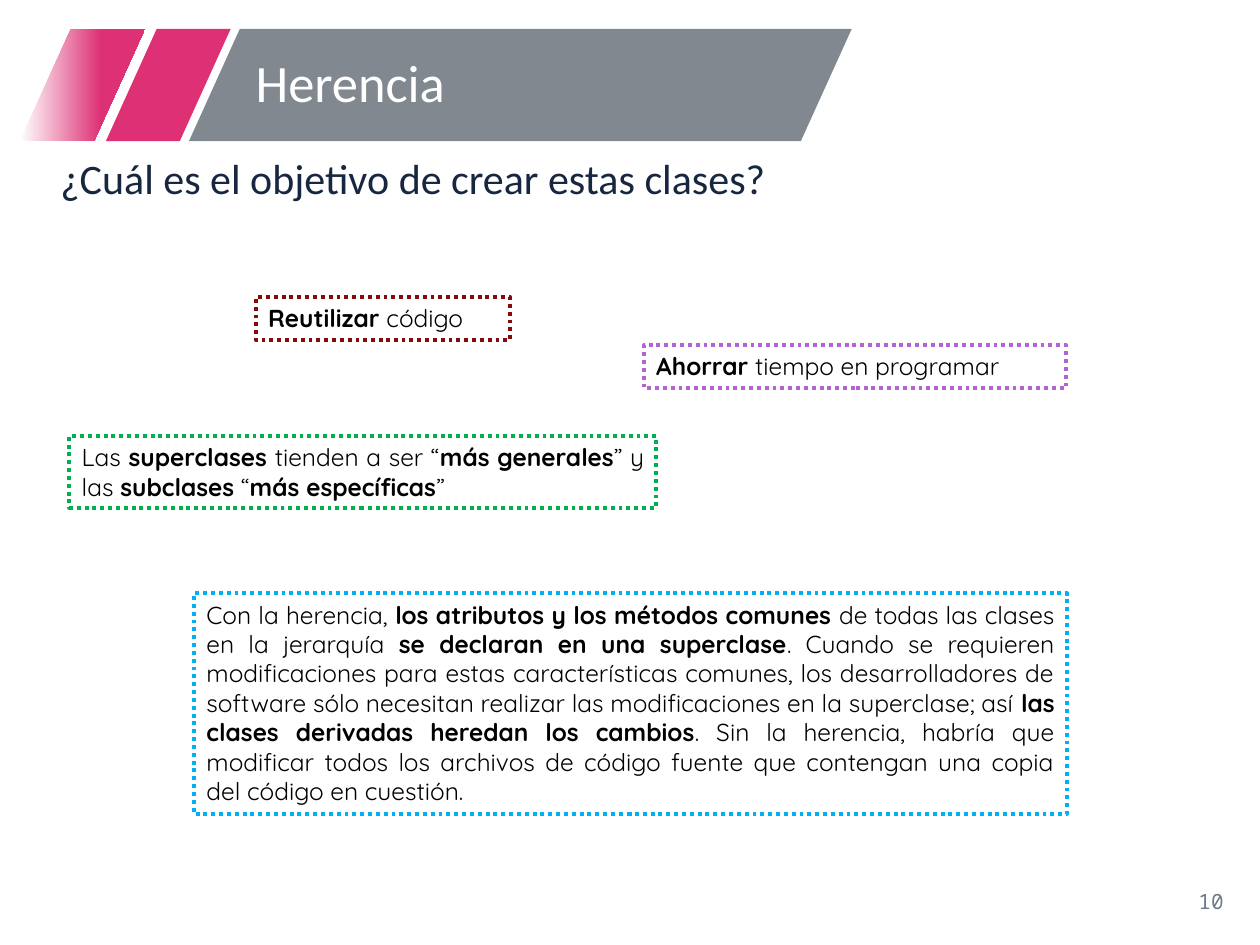
from dataclasses import dataclass

from pptx import Presentation
from pptx import util as u
from pptx.dml.color import RGBColor
from pptx.enum import dml, shapes, text


@dataclass(frozen=True)
class Theme:
    pink: str = "DE3075"
    gray: str = "81888F"
    white: str = "FFFFFF"
    navy: str = "172740"
    black: str = "000000"
    number: str = "6C7A8A"
    heading_font: str = "Calibri"
    body_font: str = "Quicksand"
    number_font: str = "Noto Sans Mono"
    title_size: int = 30
    question_size: int = 24
    body_size: int = 14
    number_size: int = 12


THEME = Theme()
TITLE = "Herencia"
QUESTION = "¿Cuál es el objetivo de crear estas clases?"
PAGE_NUMBER = "10"

BANNER_TOP, BANNER_HEIGHT, BANNER_SLANT = 0.23, 0.89, 0.453
BANNER = [
    (0.84, 0.99, THEME.pink),
    (0.16, 0.99, None),
    (1.5, 5.26, THEME.gray),
]

NOTES = [
    ("**Reutilizar** código", "830B0B", (2.03, 2.36, 2.02, 0.34)),
    ("**Ahorrar** tiempo en programar", "B862D1", (5.11, 2.74, 3.35, 0.34)),
    (
        "Las **superclases** tienden a ser “**más generales**” y las "
        "**subclases** “**más específicas**”",
        "00B050",
        (0.55, 3.46, 4.66, 0.57),
    ),
    (
        "Con la herencia, **los atributos y los métodos comunes **de todas las clases "
        "en la jerarquía **se declaran en una superclase**. Cuando se requieren "
        "modificaciones para estas características comunes, los desarrolladores de "
        "software sólo necesitan realizar las modificaciones en la superclase; así "
        "**las clases derivadas heredan los cambios**. Sin la herencia, habría que "
        "modificar todos los archivos de código fuente que contengan una copia del "
        "código en cuestión.",
        "00B0F0",
        (1.54, 4.71, 6.93, 1.75),
    ),
]


def color(value):
    return RGBColor.from_string(value)


def add_text(slide, content, box, *, size, font, fill, align=text.PP_ALIGN.LEFT,
             anchor=text.MSO_ANCHOR.TOP, spacing=1.0):
    shape = slide.shapes.add_textbox(*map(u.Inches, box))
    frame = shape.text_frame
    frame.word_wrap = True
    frame.vertical_anchor = anchor
    paragraph = frame.paragraphs[0]
    paragraph.alignment = align
    paragraph.line_spacing = spacing
    for index, part in enumerate(content.split("**")):
        if part:
            run = paragraph.add_run()
            run.text = part
            run.font.name = font
            run.font.size = u.Pt(size)
            run.font.bold = index % 2 == 1
            run.font.color.rgb = color(fill)
    return shape


def add_banner_piece(slide, left, width, fill):
    shape = slide.shapes.add_shape(
        shapes.MSO_SHAPE.PARALLELOGRAM,
        *map(u.Inches, (left, BANNER_TOP, width, BANNER_HEIGHT)))
    shape.adjustments[0] = BANNER_SLANT
    shape.shadow.inherit = False
    shape.line.fill.background()
    if fill:
        shape.fill.solid()
        shape.fill.fore_color.rgb = color(fill)
        return
    shape.fill.gradient()
    shape.fill.gradient_angle = 0
    stops = ((0, THEME.white), (0.65, THEME.pink))
    for stop, (position, value) in zip(shape.fill.gradient_stops, stops):
        stop.position = position
        stop.color.rgb = color(value)


def add_note(slide, content, border, box):
    shape = add_text(slide, content, box, size=THEME.body_size, font=THEME.body_font,
                     fill=THEME.black, align=text.PP_ALIGN.JUSTIFY)
    shape.line.color.rgb = color(border)
    shape.line.width = u.Pt(2.25)
    shape.line.dash_style = dml.MSO_LINE.ROUND_DOT


def main():
    presentation = Presentation()
    presentation.slide_width = u.Inches(10)
    presentation.slide_height = u.Inches(7.5)
    slide = presentation.slides.add_slide(presentation.slide_layouts[6])

    for left, width, fill in BANNER:
        add_banner_piece(slide, left, width, fill)
    add_text(slide, TITLE, (1.93, BANNER_TOP, 4.69, BANNER_HEIGHT),
             size=THEME.title_size, font=THEME.heading_font, fill=THEME.white,
             anchor=text.MSO_ANCHOR.MIDDLE, spacing=0.9)
    add_text(slide, QUESTION, (0.38, 1.21, 9.29, 0.5),
             size=THEME.question_size, font=THEME.heading_font, fill=THEME.navy,
             align=text.PP_ALIGN.JUSTIFY, spacing=0.9)
    for content, border, box in NOTES:
        add_note(slide, content, border, box)
    add_text(slide, PAGE_NUMBER, (7.56, 6.95, 2.25, 0.4),
             size=THEME.number_size, font=THEME.number_font, fill=THEME.number,
             align=text.PP_ALIGN.RIGHT, anchor=text.MSO_ANCHOR.MIDDLE)

    presentation.save("out.pptx")


if __name__ == "__main__":
    main()
